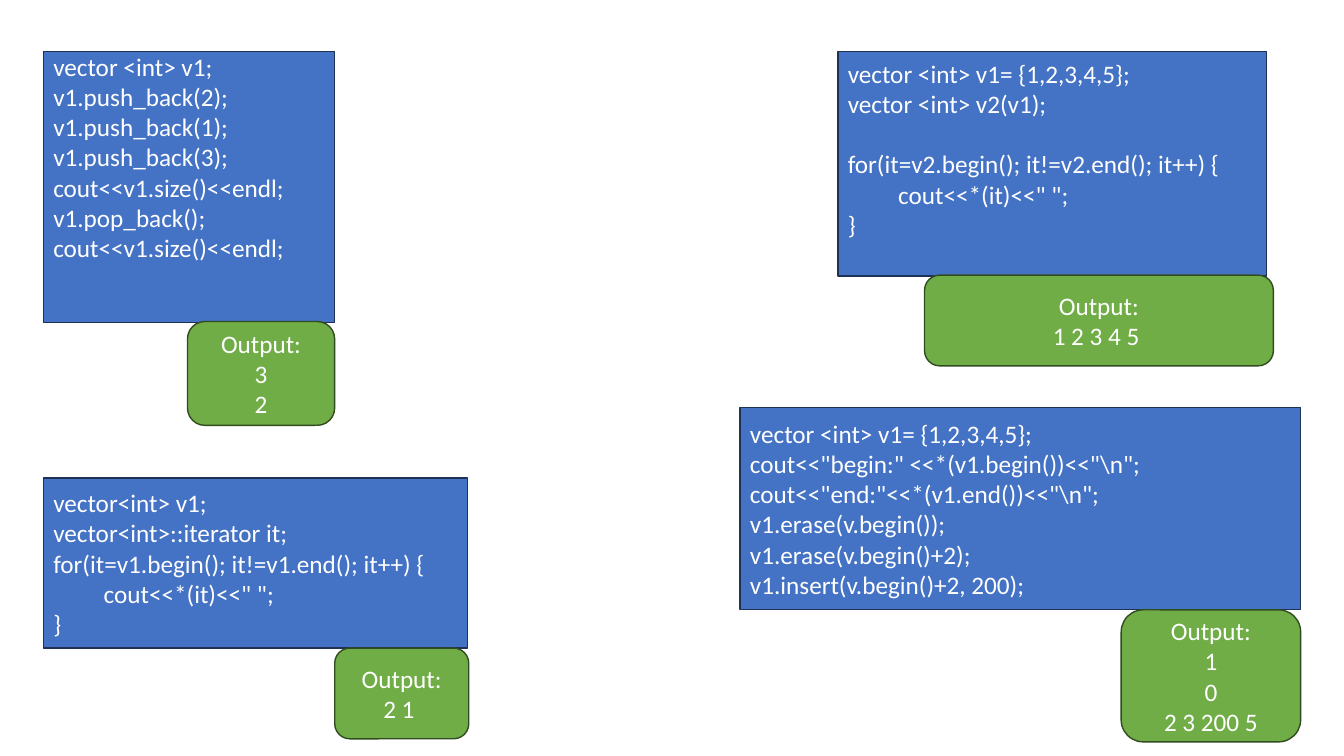
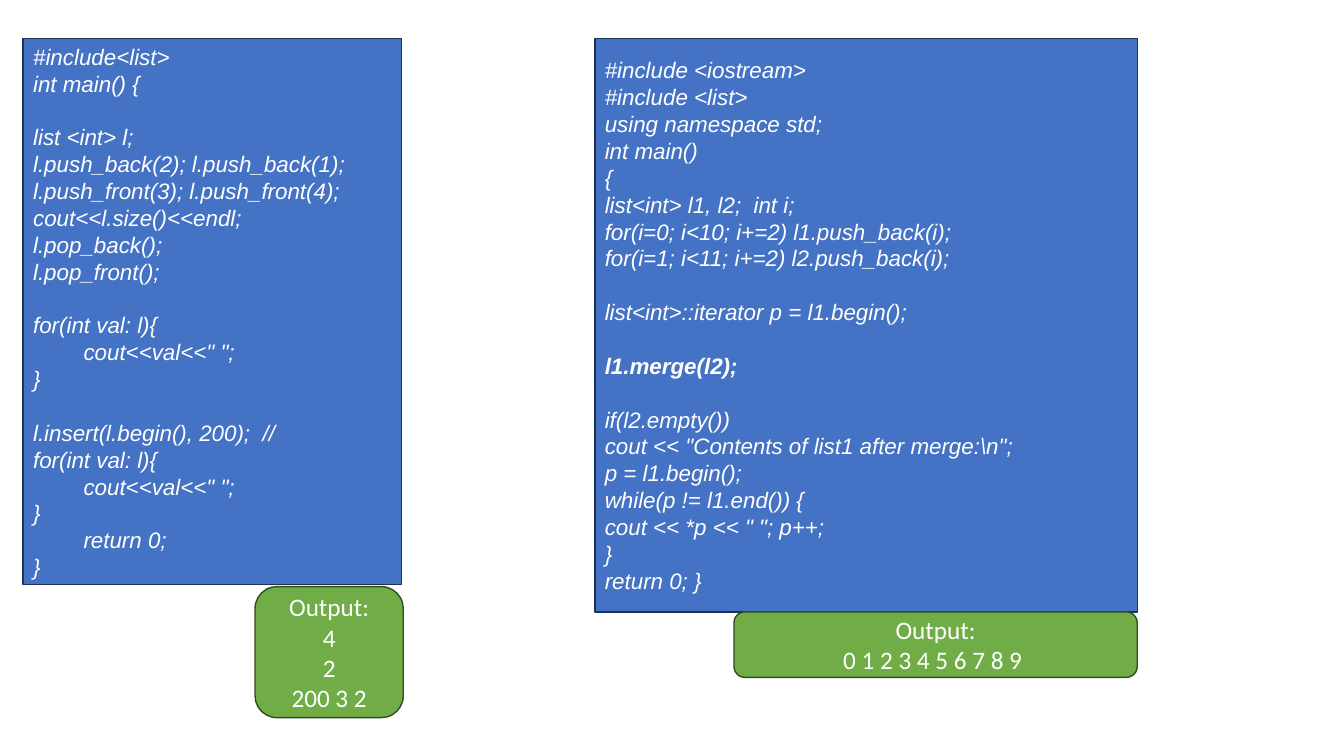
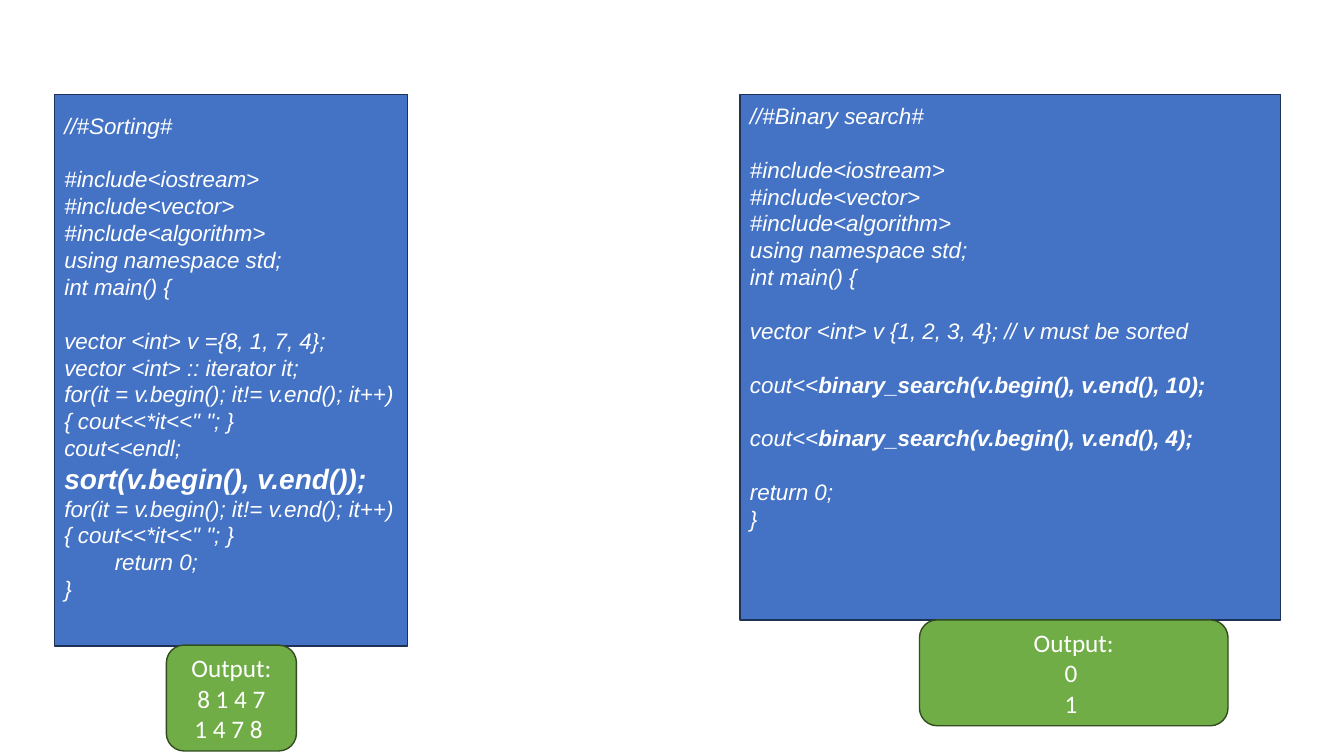
from pptx import Presentation
from pptx.dml.color import RGBColor
from pptx.enum import shapes, text
from pptx import util as u

PX = 9144  # 100 px to the inch
COLORS = {
    "code": "4472C4",
    "code_edge": "1E3256",
    "output": "70AD47",
    "output_edge": "314C1F",
    "ink": "FFFFFF",
}
LEADING = 1.2
OUTPUT_SIZE = 18

PUSH_POP = r"""
vector <int> v1;
v1.push_back(2);
v1.push_back(1);
v1.push_back(3);
cout<<v1.size()<<endl;
v1.pop_back();
cout<<v1.size()<<endl;
"""

COPY_VECTOR = r"""
vector <int> v1= {1,2,3,4,5};
vector <int> v2(v1);

for(it=v2.begin(); it!=v2.end(); it++) {
    cout<<*(it)<<" ";
}
"""

ERASE_INSERT = r"""
vector <int> v1= {1,2,3,4,5};
cout<<"begin:" <<*(v1.begin())<<"\n";
cout<<"end:"<<*(v1.end())<<"\n";
v1.erase(v.begin());
v1.erase(v.begin()+2);
v1.insert(v.begin()+2, 200);
"""

ITERATE = r"""
vector<int> v1;
vector<int>::iterator it;
for(it=v1.begin(); it!=v1.end(); it++) {
    cout<<*(it)<<" ";
}
"""

LIST_BASICS = r"""
#include<list>
int main() {

list <int> l;
l.push_back(2); l.push_back(1);
l.push_front(3); l.push_front(4);
cout<<l.size()<<endl;
l.pop_back();
l.pop_front();

for(int val: l){
    cout<<val<<" ";
}

l.insert(l.begin(), 200);  //
for(int val: l){
    cout<<val<<" ";
}
    return 0;
}
"""

LIST_MERGE = r"""
#include <iostream>
#include <list>
using namespace std;
int main()
{
list<int> l1, l2;  int i;
for(i=0; i<10; i+=2) l1.push_back(i);
for(i=1; i<11; i+=2) l2.push_back(i);

list<int>::iterator p = l1.begin();

**l1.merge(l2);**

if(l2.empty())
cout << "Contents of list1 after merge:\n";
p = l1.begin();
while(p != l1.end()) {
cout << *p << " "; p++;
}
return 0; }
"""

SORTING = r"""
//#Sorting#

#include<iostream>
#include<vector>
#include<algorithm>
using namespace std;
int main() {

vector <int> v ={8, 1, 7, 4};
vector <int> :: iterator it;
for(it = v.begin(); it!= v.end(); it++)
{ cout<<*it<<" "; }
cout<<endl;
**sort(v.begin(), v.end());**
for(it = v.begin(); it!= v.end(); it++)
{ cout<<*it<<" "; }
    return 0;
}
"""

BINARY_SEARCH = r"""
//#Binary search#

#include<iostream>
#include<vector>
#include<algorithm>
using namespace std;
int main() {

vector <int> v {1, 2, 3, 4}; // v must be sorted

cout<<**binary_search(v.begin(), v.end(), 10);**

cout<<**binary_search(v.begin(), v.end(), 4);**

return 0;
}
"""


class CodeDeck:
    def __init__(self, width, height):
        self.deck = Presentation()
        self.deck.slide_width, self.deck.slide_height = width * PX, height * PX
        self.page = None

    def new_page(self):
        self.page = self.deck.slides.add_slide(self.deck.slide_layouts[6])

    def box(self, kind, style, area):
        box = self.page.shapes.add_shape(kind, *(length * PX for length in area))
        box.shadow.inherit = False
        box.fill.solid()
        box.fill.fore_color.rgb = RGBColor.from_string(COLORS[style])
        box.line.color.rgb = RGBColor.from_string(COLORS[style + "_edge"])
        box.line.width = u.Pt(1)
        frame = box.text_frame
        frame.word_wrap = True
        frame.vertical_anchor = text.MSO_ANCHOR.MIDDLE
        frame.margin_top = frame.margin_bottom = 0
        return frame

    def add_lines(self, frame, lines, align, font, size, italic=False, bold_size=None):
        """Fill the frame; an empty line becomes space, ** switches bold on and off."""
        para, gap = None, 0
        for line in lines:
            if not line:
                gap += 1
                continue
            para = frame.add_paragraph() if para else frame.paragraphs[0]
            para.alignment = align
            if gap:
                para.space_before = u.Pt(gap * size * LEADING)
            gap = 0
            tallest = size
            for index, part in enumerate(line.split("**")):
                if not part:
                    continue
                bold = index % 2 == 1
                span = para.add_run()
                span.text = part
                part_size = bold_size if bold and bold_size else size
                tallest = max(tallest, part_size)
                span.font.name = font
                span.font.size = u.Pt(part_size)
                span.font.bold = bold
                span.font.italic = italic
                span.font.color.rgb = RGBColor.from_string(COLORS["ink"])
            para.line_spacing = u.Pt(tallest * LEADING)

    def code(self, area, source, font="Calibri", size=18, rows_below=0, bold_size=None):
        """Draw a code box; rows_below lifts the text by that many free rows."""
        frame = self.box(shapes.MSO_SHAPE.RECTANGLE, "code", area)
        frame.margin_bottom = u.Pt(rows_below * size * LEADING)
        lines = source.strip().replace("\n    ", "\n\t").split("\n")
        self.add_lines(frame, lines, text.PP_ALIGN.LEFT, font, size,
                       italic=font == "Arial", bold_size=bold_size)

    def output(self, area, *results):
        frame = self.box(shapes.MSO_SHAPE.ROUNDED_RECTANGLE, "output", area)
        self.add_lines(frame, ("Output:",) + results, text.PP_ALIGN.CENTER,
                       "Calibri", OUTPUT_SIZE)


def main():
    show = CodeDeck(1333, 750)
    program = {"font": "Arial", "size": 16}

    show.new_page()
    show.code((43, 51, 289, 269), PUSH_POP, rows_below=2)
    show.code((831, 51, 425, 223), COPY_VECTOR, rows_below=1)
    show.code((734, 404, 556, 201), ERASE_INSERT)
    show.code((43, 474, 421, 169), ITERATE)
    show.output((186, 319, 146, 103), "3", "2")
    show.output((332, 643, 133, 90), "2 1 ")
    show.output((917, 273, 346, 90), "1 2 3 4 5 ")
    show.output((1112, 605, 178, 131), "1", "0", "2 3 200 5")

    show.new_page()
    show.output((253, 582, 147, 130), "4", "2", "200 3 2")
    show.code((23, 38, 375, 542), LIST_BASICS, **program)
    show.code((590, 38, 538, 569), LIST_MERGE, **program)
    show.output((728, 607, 400, 65), "0 1 2 3 4 5 6 7 8 9 ")

    show.new_page()
    show.code((54, 94, 350, 547), SORTING, rows_below=1, bold_size=20, **program)
    show.output((165, 640, 129, 105), "8 1 4 7", "1 4 7 8 ")
    show.code((734, 94, 536, 521), BINARY_SEARCH, rows_below=3, **program)
    show.output((912, 615, 306, 105), "0 ", "1 ")

    show.deck.save("out.pptx")


if __name__ == "__main__":
    main()
